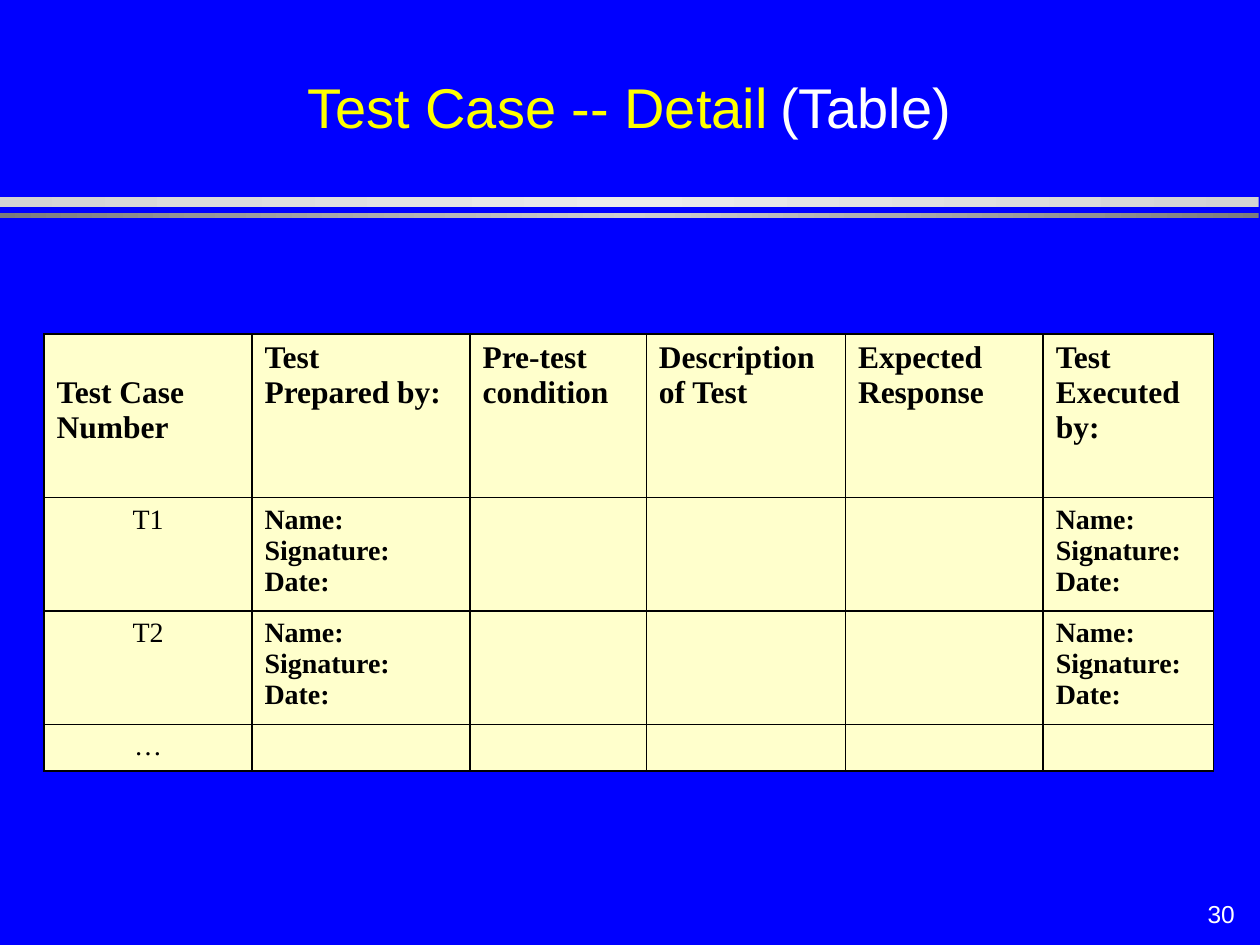
import pptx
import pptx.util
import pptx.dml.color
import pptx.enum.shapes
import pptx.enum.text
import pptx.oxml
import pptx.oxml.ns
from lxml import etree

Inches, Pt = pptx.util.Inches, pptx.util.Pt
RGBColor = pptx.dml.color.RGBColor
ALIGN = pptx.enum.text.PP_ALIGN
MIDDLE = pptx.enum.text.MSO_ANCHOR.MIDDLE
qn = pptx.oxml.ns.qn

# Content
TITLE = [("Test Case -- Detail", 32, "yellow"), (" ", 24, "white"), ("(Table)", 32, "white")]
PAGE = "30"
HEADER = ["Test Case\nNumber", "Test\nPrepared by:", "Pre-test\ncondition",
          "Description\nof Test", "Expected\nResponse", "Test\nExecuted by:"]
SIGN_OFF = "Name:\nSignature:\nDate:"
ROWS = [
    HEADER,
    ["T1", SIGN_OFF, "", "", "", SIGN_OFF],
    ["T2", SIGN_OFF, "", "", "", SIGN_OFF],
    ["…", "", "", "", "", ""],
]
COL_WIDTHS = [1.65, 1.73, 1.4, 1.58, 1.57, 1.35]
ROW_HEIGHTS = [1.3, 0.9, 0.9, 0.37]

# Colours
BLUE = RGBColor(0x00, 0x00, 0xFF)
WHITE = RGBColor(0xFF, 0xFF, 0xFF)
YELLOW = RGBColor(0xFF, 0xFF, 0x00)
BLACK = RGBColor(0x00, 0x00, 0x00)
CREAM = RGBColor(0xFF, 0xFF, 0xCC)
TITLE_COLORS = {"yellow": YELLOW, "white": WHITE}
# Rules under the title: top, height, edge colour, middle colour
RULES = [
    (1.56, 0.08, RGBColor(0xD3, 0xD3, 0xD3), RGBColor(0xEB, 0xEB, 0xEB)),
    (1.69, 0.04, RGBColor(0x7C, 0x7C, 0x7C), RGBColor(0xCE, 0xCE, 0xCE)),
]


def add_text(p, text, size=16, font="Times New Roman", color=BLACK, bold=False, align=None):
    r = p.add_run()
    r.text = text
    r.font.size, r.font.name, r.font.bold = Pt(size), font, bold
    r.font.color.rgb = color
    if align is not None:
        p.alignment = align


def add_rule(s, top, height, edge, middle):
    sp = s.shapes.add_shape(pptx.enum.shapes.MSO_SHAPE.RECTANGLE,
                            0, Inches(top), Inches(9.99), Inches(height))
    sp.shadow.inherit = False
    sp.line.fill.background()
    sp.fill.gradient()
    sp.fill.gradient_angle = 0
    stops = sp._element.spPr.find(qn("a:gradFill")).find(qn("a:gsLst"))
    for stop in list(stops):
        stops.remove(stop)
    for pos, color in ((0, edge), (50, middle), (100, edge)):
        gs = etree.SubElement(stops, qn("a:gs"), pos=str(pos * 1000))
        etree.SubElement(gs, qn("a:srgbClr"), val=str(color))


def add_borders(cell):
    tcPr = cell._tc.get_or_add_tcPr()
    for i, side in enumerate(("lnL", "lnR", "lnT", "lnB")):
        ln = etree.Element(qn("a:" + side), w=str(Pt(1)))
        fill = etree.SubElement(ln, qn("a:solidFill"))
        etree.SubElement(fill, qn("a:srgbClr"), val=str(BLACK))
        tcPr.insert(i, ln)


def fill_cell(cell, text, row, col):
    cell.fill.solid()
    cell.fill.fore_color.rgb = CREAM
    add_borders(cell)
    cell.margin_left = cell.margin_right = Inches(0.1)
    # The first heading starts one line lower than the others
    cell.margin_top = Inches(0.33 if row == col == 0 else 0.05)
    cell.margin_bottom = Inches(0.05)
    tf = cell.text_frame
    if not text:
        etree.SubElement(tf.paragraphs[0]._p, qn("a:endParaRPr"), sz="1600")
        return
    is_label = row > 0 and col == 0
    for i, line in enumerate(text.split("\n")):
        p = tf.add_paragraph() if i else tf.paragraphs[0]
        add_text(p, line, size=16 if row else 18, bold=not is_label,
                 align=ALIGN.CENTER if is_label else ALIGN.LEFT)


def main():
    prs = pptx.Presentation()
    prs.slide_width, prs.slide_height = Inches(10), Inches(7.5)
    s = prs.slides.add_slide(prs.slide_layouts[5])
    s.background.fill.solid()
    s.background.fill.fore_color.rgb = BLUE

    # Double rule
    for rule in RULES:
        add_rule(s, *rule)

    # Page number
    box = s.shapes.add_textbox(Inches(9.47), Inches(7.09), Inches(0.43), Inches(0.33))
    tf = box.text_frame
    tf.word_wrap = False
    tf.vertical_anchor = MIDDLE
    add_text(tf.paragraphs[0], PAGE, size=14, font="Arial", color=WHITE, align=ALIGN.RIGHT)

    # Title
    title = s.shapes.title
    title.left, title.top = Inches(2.32), Inches(0.52)
    title.width, title.height = Inches(5.35), Inches(0.64)
    tf = title.text_frame
    tf.word_wrap = False
    tf.auto_size = pptx.enum.text.MSO_AUTO_SIZE.NONE
    tf.vertical_anchor = MIDDLE
    for text, size, color in TITLE:
        add_text(tf.paragraphs[0], text, size=size, font="Arial",
                 color=TITLE_COLORS[color], align=ALIGN.CENTER)

    # Test case table
    table = s.shapes.add_table(len(ROWS), len(HEADER), Inches(0.35), Inches(2.65),
                               Inches(sum(COL_WIDTHS)), Inches(sum(ROW_HEIGHTS))).table
    table.horz_banding = False
    for column, width in zip(table.columns, COL_WIDTHS):
        column.width = Inches(width)
    for i, (height, row) in enumerate(zip(ROW_HEIGHTS, ROWS)):
        table.rows[i].height = Inches(height)
        for j, text in enumerate(row):
            fill_cell(table.cell(i, j), text, i, j)

    prs.save("out.pptx")


if __name__ == "__main__":
    main()
